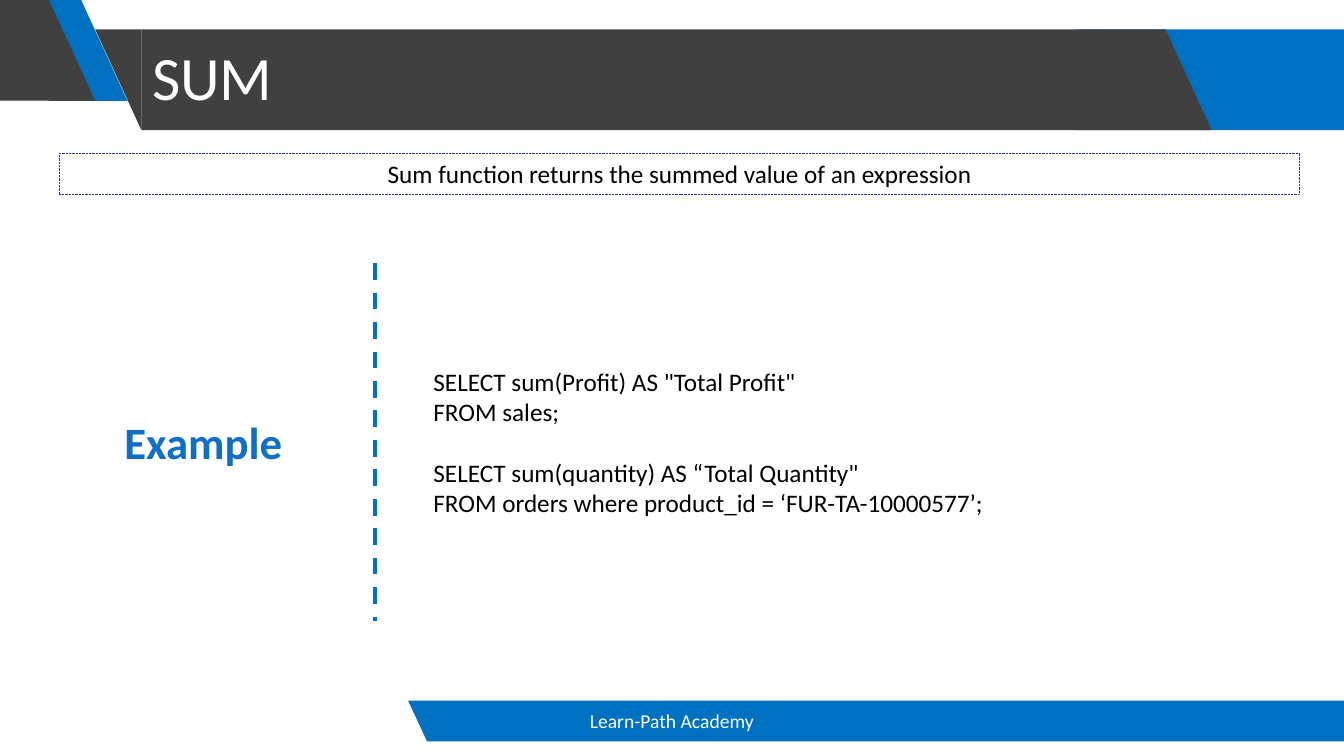
from dataclasses import dataclass

from lxml import etree
from pptx import Presentation
from pptx import util as u
from pptx.dml.color import RGBColor
from pptx.enum import dml, shapes, text
from pptx.oxml import ns


@dataclass(frozen=True)
class Theme:
    font: str = "Calibri"
    blue: str = "0070C0"
    dark: str = "404040"
    navy: str = "263393"
    accent: str = "0F6FC6"
    white: str = "FFFFFF"
    black: str = "000000"
    title: int = 44
    heading: int = 32
    body: int = 18
    footer: int = 14


THEME = Theme()
WIDTH, HEIGHT = 960, 540
BAND_TOP, BAND_HEIGHT, SLANT = 21, 72, 33
FOOTER_TOP, FOOTER_HEIGHT = 500.5, 29
RECT = shapes.MSO_SHAPE.RECTANGLE
TRIANGLE = shapes.MSO_SHAPE.RIGHT_TRIANGLE
LEFT, CENTER = text.PP_ALIGN.LEFT, text.PP_ALIGN.CENTER


def set_all(target, values):
    for name, value in values.items():
        setattr(target, name, value)


def add_block(page, kind, place, color=None, rotation=0):
    block = page.shapes.add_shape(kind, *map(u.Pt, place))
    block.shadow.inherit = False
    block.rotation = rotation
    block.line.fill.background()
    if color:
        block.fill.solid()
        block.fill.fore_color.rgb = RGBColor.from_string(color)
    else:
        block.fill.background()
    return block


def write(box, lines, size, color, align=LEFT, bold=False, gaps=None,
          anchor=text.MSO_ANCHOR.TOP, spacing=1.0):
    """Fill a box with lines; gaps maps a line index to the space before it."""
    frame = box.text_frame
    set_all(frame, {"word_wrap": True, "vertical_anchor": anchor,
                    "auto_size": text.MSO_AUTO_SIZE.NONE})
    for index, line in enumerate(lines):
        para = frame.paragraphs[0] if index == 0 else frame.add_paragraph()
        set_all(para, {"alignment": align, "line_spacing": spacing,
                       "space_before": u.Pt((gaps or {}).get(index, 0))})
        span = para.add_run()
        span.text = line
        set_all(span.font, {"name": THEME.font, "size": u.Pt(size), "bold": bold})
        span.font.color.rgb = RGBColor.from_string(color)


def add_text(page, place, lines, size, color, **options):
    box = page.shapes.add_textbox(*map(u.Pt, place))
    write(box, lines, size, color, **options)


def set_line(line, color, width, dash):
    line.color.rgb = RGBColor.from_string(color)
    set_all(line, {"width": u.Pt(width), "dash_style": dash})


def add_divider(page, x, top, bottom):
    divider = page.shapes.add_connector(
        shapes.MSO_CONNECTOR.STRAIGHT, *map(u.Pt, (x, top, x, bottom)))
    set_line(divider.line, THEME.blue, 3, dml.MSO_LINE.DASH)
    etree.SubElement(divider._element.spPr, ns.qn("a:effectLst"))


def add_header(page):
    band_left, band_right = 101, 832.5
    blocks = [
        (RECT, 769, BAND_TOP, WIDTH - 769, THEME.blue, 0),
        (TRIANGLE, 58, 0, SLANT, THEME.blue, 0),
        (TRIANGLE, 25, 0, SLANT, THEME.blue, 180),
        (RECT, 0, 0, 35, THEME.dark, 0),
        (TRIANGLE, 35, 0, SLANT, THEME.dark, 0),
        (TRIANGLE, band_left - SLANT, BAND_TOP, SLANT, THEME.dark, 180),
        (RECT, band_left, BAND_TOP, band_right - band_left, THEME.dark, 0),
        (TRIANGLE, band_right, BAND_TOP, SLANT, THEME.dark, 0),
    ]
    for kind, left, top, width, color, rotation in blocks:
        add_block(page, kind, (left, top, width, BAND_HEIGHT), color, rotation)


def add_footer(page, label):
    left, slant = 305, 13.5
    add_block(page, RECT, (left, FOOTER_TOP, WIDTH - left, FOOTER_HEIGHT), THEME.blue)
    add_block(page, TRIANGLE, (left - slant, FOOTER_TOP, slant, FOOTER_HEIGHT),
              THEME.blue, 180)
    add_text(page, (318, FOOTER_TOP, 324, FOOTER_HEIGHT), [label], THEME.footer,
             THEME.white, align=CENTER, anchor=text.MSO_ANCHOR.MIDDLE)


def add_title(page, words):
    title = page.shapes.title
    set_all(title, dict(zip(("left", "top", "width", "height"),
                            map(u.Pt, (101.5, 5, 730, 104.5)))))
    write(title, [words], THEME.title, THEME.white,
          anchor=text.MSO_ANCHOR.MIDDLE, spacing=0.9)
    # Bring the title in front of the header band
    page.shapes._spTree.append(title._element)


def main():
    deck = Presentation()
    set_all(deck, {"slide_width": u.Pt(WIDTH), "slide_height": u.Pt(HEIGHT)})
    page = deck.slides.add_slide(deck.slide_layouts[5])

    # Header and footer
    add_header(page)
    add_title(page, "SUM")
    add_footer(page, "Learn-Path Academy")

    # Definition
    definition = add_block(page, RECT, (42.5, 109.5, 886, 29))
    set_line(definition.line, THEME.navy, 0.5, dml.MSO_LINE.ROUND_DOT)
    write(definition, ["Sum function returns the summed value of an expression"],
          THEME.body, THEME.black, align=CENTER)

    # Example
    add_divider(page, 268, 188, 443.5)
    add_text(page, (22.5, 292.5, 245.5, 46), ["Example"], THEME.heading,
             THEME.accent, align=CENTER, bold=True)
    queries = [
        'SELECT sum(Profit) AS "Total Profit"',
        "FROM sales;",
        'SELECT sum(quantity) AS “Total Quantity"',
        "FROM orders where product_id = ‘FUR-TA-10000577’;",
    ]
    add_text(page, (302.5, 258, 594.5, 116.5), queries, THEME.body, THEME.black,
             gaps={2: 22})

    deck.save("out.pptx")


if __name__ == "__main__":
    main()
